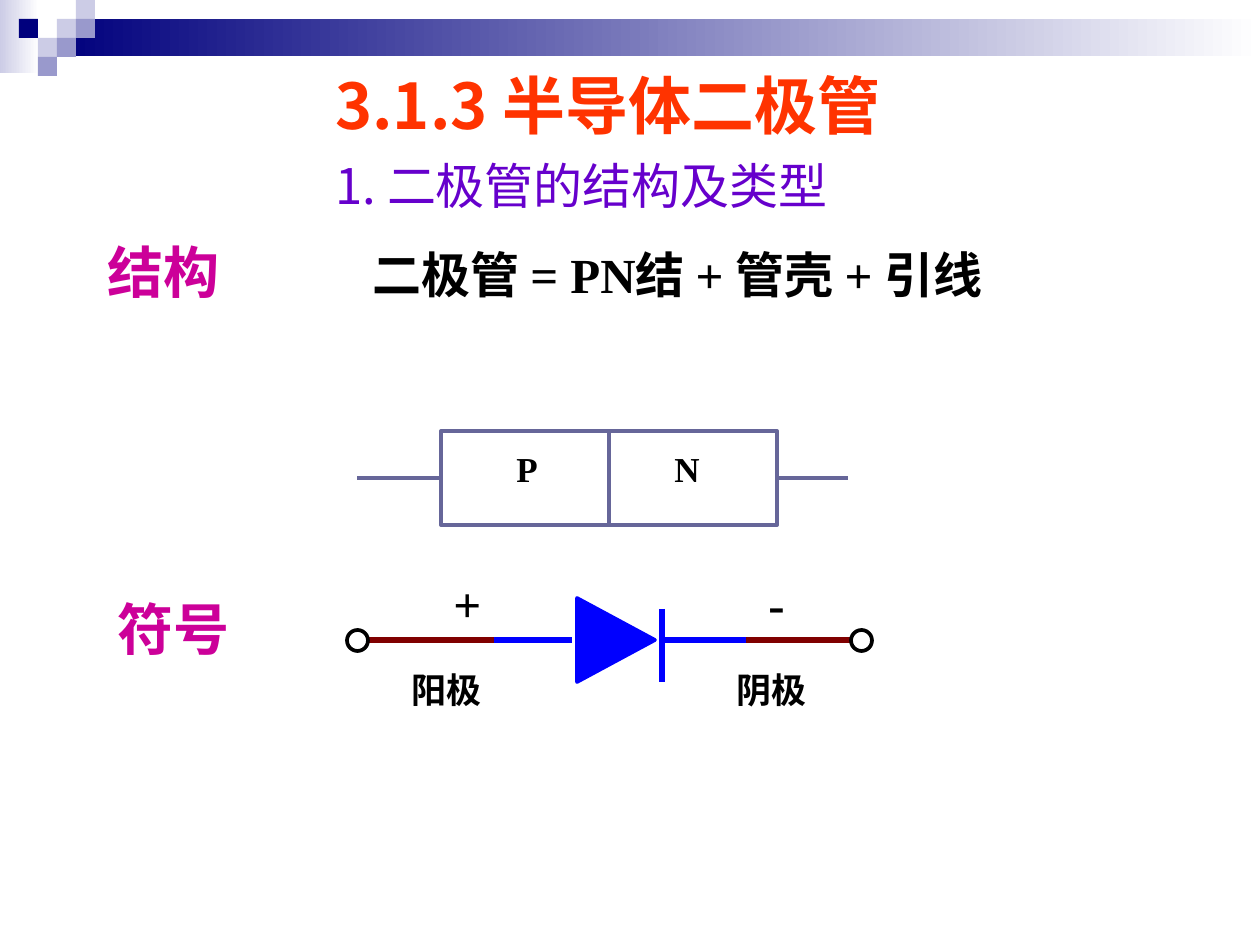
from lxml.etree import SubElement
from pptx import Presentation
from pptx.dml.color import RGBColor
from pptx.enum.shapes import MSO_CONNECTOR, MSO_SHAPE
from pptx.enum.text import MSO_ANCHOR, MSO_AUTO_SIZE
from pptx.oxml.ns import qn
from pptx.util import Emu, Pt

PX = 914400 / 126
CELL = 19
NAVY, LAVENDER, PERIWINKLE = "00007D", "CCCCE6", "9999CC"
BLACK, WHITE, BLUE, MAROON, SLATE = "000000", "FFFFFF", "0000FF", "800000", "666699"
MAGENTA, PURPLE, ORANGE = "CC0099", "6600CC", "FF3300"
CJK = "Noto Sans CJK SC"
SERIF = "Times New Roman"


def px(n):
    return Emu(round(n * PX))


def rgb(value):
    return RGBColor.from_string(value)


class Canvas:
    def __init__(self, slide):
        self.s = slide

    def paint(self, sp, fill=None, line=None, width=2.25):
        sp.shadow.inherit = False
        if isinstance(fill, tuple):
            sp.fill.gradient()
            sp.fill.gradient_angle = 0
            for stop, color in zip(sp.fill.gradient_stops, fill):
                stop.color.rgb = rgb(color)
        elif fill:
            sp.fill.solid()
            sp.fill.fore_color.rgb = rgb(fill)
        else:
            sp.fill.background()
        if line:
            sp.line.color.rgb = rgb(line)
            sp.line.width = Pt(width)
        else:
            sp.line.fill.background()
        return sp

    def shape(self, kind, x, y, w, h, **style):
        sp = self.s.shapes.add_shape(kind, px(x), px(y), px(w), px(h))
        return self.paint(sp, **style)

    def polygon(self, points, **style):
        fb = self.s.shapes.build_freeform(*points[0], scale=PX)
        fb.add_line_segments(points[1:], close=True)
        return self.paint(fb.convert_to_shape(), **style)

    def line(self, x1, y1, x2, y2, color, width=3, start=None):
        cx = self.s.shapes.add_connector(
            MSO_CONNECTOR.STRAIGHT, px(x1), px(y1), px(x2), px(y2))
        if start:
            cx.begin_connect(*start)
        cx.line.color.rgb = rgb(color)
        cx.line.width = Pt(width)
        SubElement(cx._element.spPr, qn("a:effectLst"))
        return cx

    def text(self, text, x, y, w, h, size, color=BLACK, font=SERIF, bold=True,
             anchor=MSO_ANCHOR.TOP, spacing=None, indent=0):
        sp = self.s.shapes.add_textbox(px(x), px(y), px(w), px(h))
        tf = sp.text_frame
        tf.word_wrap = True
        tf.auto_size = MSO_AUTO_SIZE.SHAPE_TO_FIT_TEXT
        tf.vertical_anchor = anchor
        tf.text = text
        p = tf.paragraphs[0]
        if spacing:
            p.line_spacing = spacing
        if indent:
            p._p.get_or_add_pPr().set("indent", str(px(indent)))
        for r in p.runs:
            r.font.size = Pt(size)
            r.font.bold = bold
            r.font.name = font
            r.font.color.rgb = rgb(color)
            SubElement(r._r.get_or_add_rPr(), qn("a:ea")).set("typeface", CJK)
        return sp


def draw_banner(c):
    c.shape(MSO_SHAPE.RECTANGLE, 0, 0, 39, 73, fill=(LAVENDER, WHITE))
    c.shape(MSO_SHAPE.RECTANGLE, 57, CELL, 1203, 37, fill=(NAVY, WHITE))
    for col, row, color in [
        (3, 1, LAVENDER), (4, 0, LAVENDER), (4, 1, PERIWINKLE), (2, 2, LAVENDER),
        (1, 1, NAVY), (3, 2, PERIWINKLE), (2, 3, PERIWINKLE),
    ]:
        c.shape(MSO_SHAPE.RECTANGLE, col * CELL, row * CELL, CELL, CELL, fill=color)


def draw_junction(c):
    left, top, w, h = 441, 431, 168, 94
    mid = top + h // 2
    p_region, n_region = [
        c.shape(MSO_SHAPE.RECTANGLE, left + i * w, top, w, h, line=SLATE)
        for i in range(2)
    ]
    c.text("P", 504, 441, 63, 63, 20)
    c.text("N", 662, 441, 63, 63, 20)
    c.line(left, mid, 357, mid, SLATE, 2.25, start=(p_region, 1))
    c.line(left + 2 * w, mid, 848, mid, SLATE, 2.25, start=(n_region, 3))


def draw_symbol(c):
    axis = 640
    for x1, x2, color in [(662, 746, BLUE), (494, 572, BLUE),
                          (746, 851, MAROON), (368, 494, MAROON)]:
        c.line(x1, axis, x2, axis, color)
    c.line(662, 609, 662, 682, BLUE)
    c.polygon([(655, axis), (577, axis - 42), (577, axis + 42)],
              fill=BLUE, line=BLUE, width=2.13)
    for x in (347, 851):
        c.shape(MSO_SHAPE.OVAL, x, axis - 10, 21, 21, line=BLACK, width=2.13)
    for name, name_x, sign, sign_x in [("阳极", 399, "+", 441), ("阴极", 724, "-", 756)]:
        c.text(name, name_x, 662, 126, 63, 20)
        c.text(sign, sign_x, 567, 53, 72, 28)


def main():
    prs = Presentation()
    prs.slide_width, prs.slide_height = px(1260), px(945)
    c = Canvas(prs.slides.add_slide(prs.slide_layouts[6]))
    draw_banner(c)
    c.text("二极管 = PN结 + 管壳 + 引线", 325, 221, 703, 89, 28,
           anchor=MSO_ANCHOR.MIDDLE, spacing=1.3, indent=35)
    draw_junction(c)
    draw_symbol(c)
    c.text("结构", 95, 231, 179, 79, 32, MAGENTA)
    c.text("符号", 105, 588, 179, 79, 32, MAGENTA)
    c.text("1. 二极管的结构及类型", 323, 149, 615, 72, 28, PURPLE, CJK, bold=False)
    c.text("3.1.3 半导体二极管", 323, 60, 707, 89, 36, ORANGE, CJK,
           anchor=MSO_ANCHOR.MIDDLE)
    prs.save("out.pptx")


if __name__ == "__main__":
    main()
